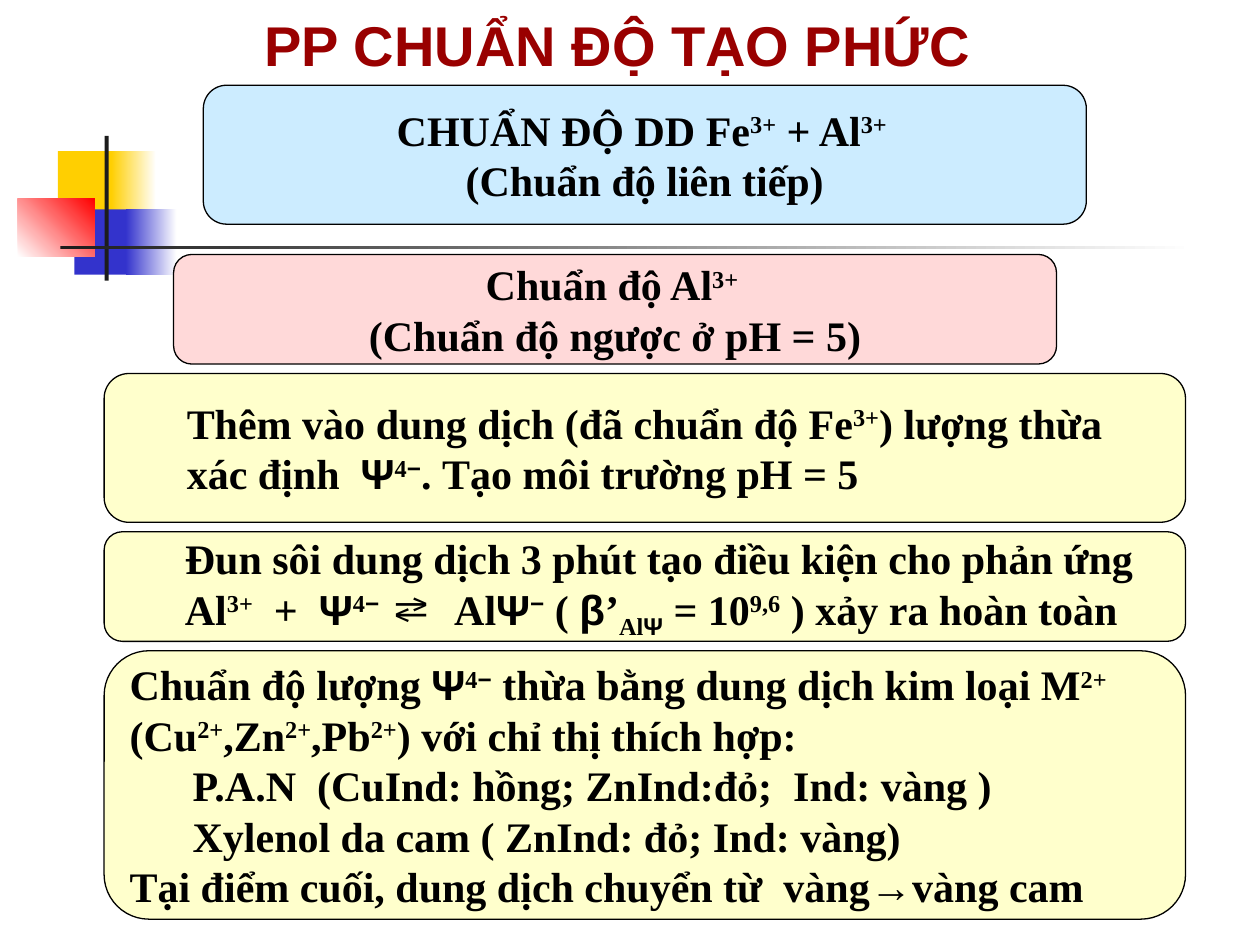
import itertools

import pptx
import pptx.dml.color
import pptx.enum.shapes
import pptx.enum.text
import pptx.util

Cm = pptx.util.Cm
Pt = pptx.util.Pt
RGBColor = pptx.dml.color.RGBColor
Preset = pptx.enum.shapes.MSO_SHAPE
Align = pptx.enum.text.PP_ALIGN
Anchor = pptx.enum.text.MSO_ANCHOR

BLACK = RGBColor(0x00, 0x00, 0x00)
WHITE = RGBColor(0xFF, 0xFF, 0xFF)
YELLOW = RGBColor(0xFF, 0xCF, 0x01)
BLUE = RGBColor(0x33, 0x33, 0xCC)
RED = RGBColor(0xFF, 0x00, 0x00)
CHARCOAL = RGBColor(0x1C, 0x1C, 0x1C)
DARK_RED = RGBColor(0x99, 0x00, 0x00)
PALE_BLUE = RGBColor(0xCC, 0xEC, 0xFF)
PINK = RGBColor(0xFF, 0xD9, 0xD9)
CREAM = RGBColor(0xFF, 0xFF, 0xCC)

TITLE = "PP CHUẨN ĐỘ TẠO PHỨC"
BODY_FONT = "Times New Roman"
SYMBOL_FONT = "Arial"
SYMBOLS = "Ψβ−→"
BASELINES = {"^": 30000, "_": -25000}

DECORATION = [
    ((1.17, 3.05, 1.22, 1.32), [YELLOW], 0),
    ((2.24, 3.05, 0.91, 1.32), [YELLOW, WHITE], 0),
    ((1.5, 4.22, 1.17, 1.32), [BLUE], 0),
    ((2.54, 4.22, 1.02, 1.32), [BLUE, WHITE], 0),
    ((0.36, 4.01, 1.55, 1.17), [WHITE, RED], 45),
    ((2.11, 2.74, 0.08, 2.92), [CHARCOAL], 0),
    ((1.22, 4.95, 22.86, 0.08), [CHARCOAL, WHITE], 0),
]

# LEVELS_PLACEHOLDER
CENTRED, OUTER, INNER = "centred", "outer", "inner"
HANGING = 0.95
MARGINS = {OUTER: 0.95, INNER: 2.22}

HEADING = [
    (CENTRED, "CHUẨN ĐỘ DD Fe^3+^ + Al^3+ ^"),
    (CENTRED, "(Chuẩn độ liên tiếp)"),
]
STEPS = [
    (3.5, 17.8, 2.21, PINK, [
        (CENTRED, "Chuẩn độ Al^3+ ^"),
        (CENTRED, "(Chuẩn độ ngược ở pH = 5)"),
    ]),
    (2.1, 21.8, 3.0, CREAM, [
        (INNER, "Thêm vào dung dịch (đã chuẩn độ Fe^3+^) lượng thừa"),
        (INNER, "xác định  Ψ^4−^. Tạo môi trường pH = 5"),
    ]),
    (2.1, 21.8, 2.21, CREAM, [
        (INNER, "Đun sôi dung dịch 3 phút tạo điều kiện cho phản ứng"),
        (INNER, "Al^3+^  +  Ψ^4−  ^⇄  AlΨ^−^ ( β’_AlΨ_ = 10^9,6^ ) xảy ra hoàn toàn"),
    ]),
    (2.1, 21.8, 5.41, CREAM, [
        (OUTER, "Chuẩn độ lượng Ψ^4−^ thừa bằng dung dịch kim loại M^2+^"),
        (OUTER, "(Cu^2+^,Zn^2+^,Pb^2+^) với chỉ thị thích hợp:"),
        (INNER, "P.A.N  (CuInd: hồng; ZnInd:đỏ;  Ind: vàng )"),
        (INNER, "Xylenol da cam ( ZnInd: đỏ; Ind: vàng)"),
        (OUTER, "Tại điểm cuối, dung dịch chuyển từ  vàng→vàng cam"),
    ]),
]
STEPS_TOP = 5.13
STEP_GAP = 0.19


def add_block(slide, preset, place, colors, angle=0):
    block = slide.shapes.add_shape(preset, *map(Cm, place))
    block.shadow.inherit = False
    block.line.fill.background()
    if len(colors) == 1:
        block.fill.solid()
        block.fill.fore_color.rgb = colors[0]
    else:
        block.fill.gradient()
        block.fill.gradient_angle = angle
        for stop, color in zip(block.fill.gradient_stops, colors):
            stop.color.rgb = color
    return block


def styled_letters(markup):
    baseline = 0
    for letter in markup:
        if letter in BASELINES:
            baseline = 0 if baseline else BASELINES[letter]
        else:
            yield letter, (SYMBOL_FONT if letter in SYMBOLS else BODY_FONT, baseline)


def write_line(paragraph, level, markup):
    if level == CENTRED:
        paragraph.alignment = Align.CENTER
    else:
        paragraph.alignment = Align.LEFT
        paragraph.level = 1 if level == INNER else 0
        properties = paragraph._p.get_or_add_pPr()
        properties.set("marL", str(Cm(MARGINS[level])))
        properties.set("indent", str(-Cm(HANGING)))
    paragraph.font.size = Pt(24)
    paragraph.font.bold = True
    paragraph.font.color.rgb = BLACK
    for (font, baseline), letters in itertools.groupby(
        styled_letters(markup), key=lambda pair: pair[1]
    ):
        run = paragraph.add_run()
        run.text = "".join(letter for letter, _ in letters)
        run.font.name = font
        if baseline:
            run._r.get_or_add_rPr().set("baseline", str(baseline))


def add_panel(slide, place, color, lines):
    panel = add_block(slide, Preset.ROUNDED_RECTANGLE, place, [color])
    panel.line.color.rgb = BLACK
    panel.line.width = Pt(0.75)
    frame = panel.text_frame
    frame.word_wrap = False
    frame.vertical_anchor = Anchor.MIDDLE
    for index, (level, markup) in enumerate(lines):
        paragraph = frame.add_paragraph() if index else frame.paragraphs[0]
        write_line(paragraph, level, markup)


def add_title(slide):
    frame = slide.shapes.add_textbox(Cm(5.1), Cm(0.08), Cm(15.7), Cm(1.63)).text_frame
    frame.word_wrap = True
    frame.vertical_anchor = Anchor.MIDDLE
    frame.margin_left = 0
    frame.margin_right = Cm(1)
    heading = frame.paragraphs[0]
    heading.text = TITLE
    heading.alignment = Align.CENTER
    heading.font.name = SYMBOL_FONT
    heading.font.size = Pt(32)
    heading.font.bold = True
    heading.font.color.rgb = DARK_RED


def main():
    deck = pptx.Presentation()
    deck.slide_width, deck.slide_height = Cm(25.4), Cm(19.05)
    slide = deck.slides.add_slide(deck.slide_layouts[6])
    for place, colors, angle in DECORATION:
        add_block(slide, Preset.RECTANGLE, place, colors, angle)
    top = STEPS_TOP
    for left, width, height, color, lines in STEPS:
        add_panel(slide, (left, top, width, height), color, lines)
        top += height + STEP_GAP
    add_panel(slide, (4.1, 1.72, 17.8, 2.8), PALE_BLUE, HEADING)
    add_title(slide)
    deck.save("out.pptx")


if __name__ == "__main__":
    main()
